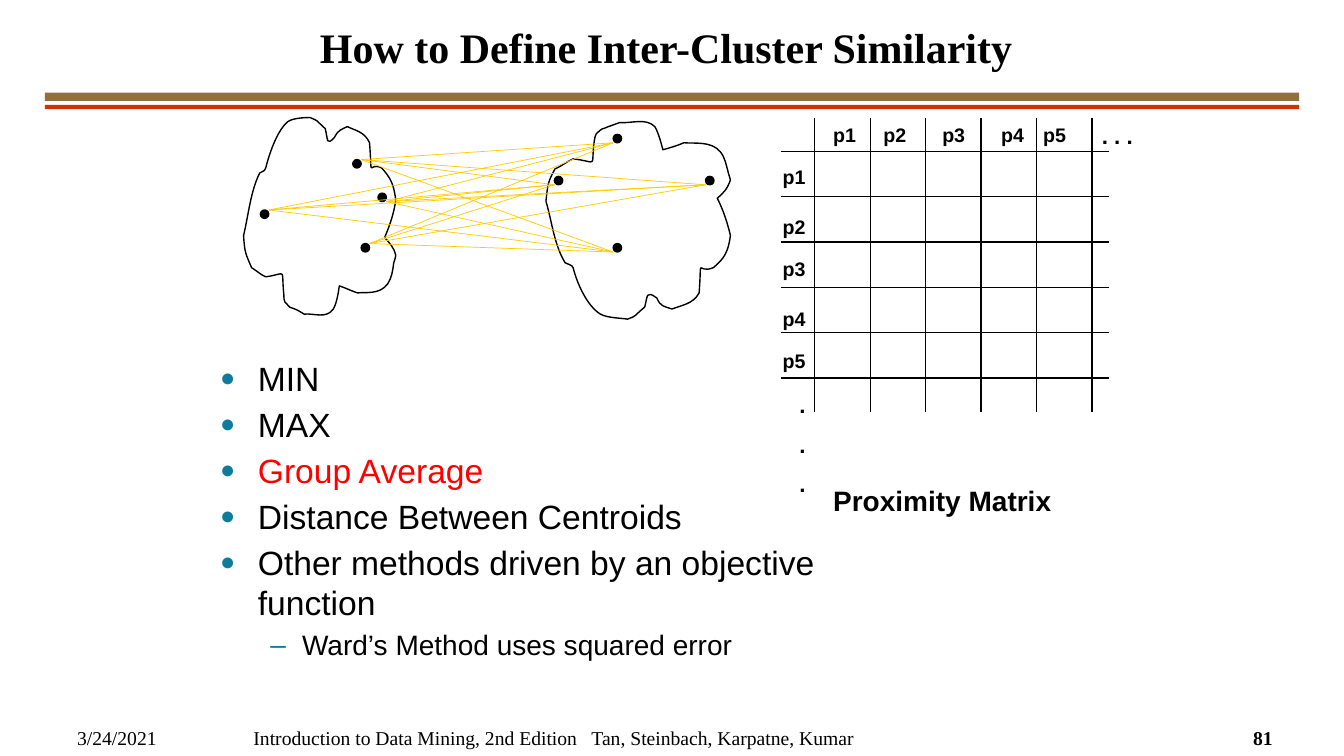
from itertools import product

from lxml.etree import SubElement
from pptx import Presentation
from pptx.dml.color import RGBColor
from pptx.enum.shapes import MSO_CONNECTOR, MSO_SHAPE
from pptx.enum.text import MSO_ANCHOR, MSO_AUTO_SIZE, PP_ALIGN
from pptx.oxml.ns import qn
from pptx.util import Pt

SERIF = "Times New Roman"
SANS = "Arial"
BLACK = "000000"

LEFT_OUTLINE = [
    (16, 55), (7, 73), (5, 96), (0, 117), (1, 134), (2, 135), (8, 149),
    (13, 152), (17, 156), (22, 158), (44, 155), (37, 148), (40, 176),
    (40, 179), (40, 181), (41, 183), (48, 190), (43, 187), (51, 190),
    (54, 191), (60, 195), (60, 195), (70, 194), (82, 200), (89, 190),
    (93, 184), (95, 167), (95, 167), (101, 169), (107, 172), (113, 174),
    (121, 173), (135, 176), (143, 165), (147, 159), (148, 152), (149, 144),
    (150, 142), (151, 137), (151, 137), (149, 128), (145, 125), (140, 119),
    (145, 107), (149, 96), (151, 82), (149, 66), (146, 60), (137, 50),
    (123, 43), (128, 65), (125, 25), (120, 14), (111, 13), (103, 9),
    (97, 12), (94, 12), (90, 20), (82, 28), (84, 23), (81, 11),
    (70, 1), (75, 4), (66, 0), (63, 0), (50, 0), (44, 4),
    (34, 12), (26, 34), (22, 50), (21, 54), (18, 53), (16, 55),
]
RIGHT_OUTLINE = [
    (19, 144), (8, 126), (6, 103), (0, 83), (2, 65), (2, 64), (9, 51),
    (16, 48), (20, 44), (27, 41), (53, 44), (44, 51), (48, 23),
    (48, 21), (49, 18), (50, 16), (58, 9), (53, 13), (62, 9),
    (65, 8), (73, 5), (73, 5), (85, 6), (99, 0), (108, 9),
    (112, 15), (116, 32), (116, 32), (123, 30), (130, 28), (137, 25),
    (147, 26), (164, 23), (173, 34), (178, 40), (179, 48), (181, 55),
    (182, 58), (183, 62), (183, 62), (180, 71), (176, 75), (170, 80),
    (176, 92), (180, 104), (183, 117), (181, 133), (177, 140), (166, 149),
    (149, 156), (155, 134), (152, 174), (146, 185), (135, 186), (125, 190),
    (117, 187), (114, 188), (110, 179), (99, 171), (101, 177), (98, 188),
    (85, 199), (91, 196), (81, 200), (76, 199), (61, 199), (54, 195),
    (41, 187), (31, 165), (27, 149), (26, 146), (22, 146), (19, 144),
]


def color(hex_value):
    return RGBColor.from_string(hex_value)


def style(paragraph, size, face, bold=False, hex_value=BLACK):
    font = paragraph.font
    font.size, font.name, font.bold = Pt(size), face, bold
    font.color.rgb = color(hex_value)


def place(part, left, top, width, height):
    part.left, part.top = Pt(left), Pt(top)
    part.width, part.height = Pt(width), Pt(height)


def add_label(slide, text, left, top, width, height, size, face=SANS, bold=True, wrap=True):
    label = slide.shapes.add_textbox(Pt(left), Pt(top), Pt(width), Pt(height))
    label.text_frame.word_wrap = wrap
    label.text_frame.text = text
    for index, paragraph in enumerate(label.text_frame.paragraphs):
        style(paragraph, size, face, bold)
        if index:
            paragraph.space_before = Pt(9)


def add_line(slide, start, end, hex_value, weight):
    line = slide.shapes.add_connector(MSO_CONNECTOR.STRAIGHT, *map(Pt, start + end))
    line.line.color.rgb = color(hex_value)
    line.line.width = Pt(weight)
    SubElement(line.element.spPr, qn("a:effectLst"))


def add_solid(slide, preset, left, top, width, height, hex_value):
    solid = slide.shapes.add_shape(preset, Pt(left), Pt(top), Pt(width), Pt(height))
    solid.shadow.inherit = False
    solid.fill.solid()
    solid.fill.fore_color.rgb = color(hex_value)
    solid.line.fill.background()
    return solid


def add_header(slide, left, top, width):
    title = slide.shapes.title
    place(title, left + 118, top, 652, 43)
    frame = title.text_frame
    frame.text = "How to Define Inter-Cluster Similarity"
    frame.auto_size = MSO_AUTO_SIZE.NONE
    frame.vertical_anchor = MSO_ANCHOR.BOTTOM
    heading = frame.paragraphs[0]
    heading.alignment = PP_ALIGN.CENTER
    heading.line_spacing = Pt(36)
    style(heading, 30, SERIF, True)
    add_solid(slide, MSO_SHAPE.RECTANGLE, left, top + 54.2, width, 5.8, "916F40")
    add_solid(slide, MSO_SHAPE.RECTANGLE, left, top + 63, width, 3, "CC3300")


def add_footer(slide, left, top):
    citation = "Introduction to Data Mining, 2nd Edition   Tan, Steinbach, Karpatne, Kumar"
    add_label(slide, "3/24/2021", left, top, 128, 24, 14, SERIF, False)
    add_label(slide, citation, left + 126, top, 512, 24, 14, SERIF, False)
    add_label(slide, "81", left + 840, top, 32, 24, 14, SERIF, True, False)


def add_matrix(slide, left, top):
    for index in range(6):
        x, y = left + 24 + 39.6 * index, top + 24 + 32.4 * index
        add_line(slide, (x, top), (x, top + 210), BLACK, 1)
        add_line(slide, (left, y), (left + 234, y), BLACK, 1)
    column_offsets = [30, 66, 108, 150, 180]
    row_offsets = [30, 66, 96, 132, 162]
    for number, (x, y) in enumerate(zip(column_offsets, row_offsets), 1):
        add_label(slide, f"p{number}", left + x, top, 42, 24, 14)
        add_label(slide, f"p{number}", left - 6, top + y, 42, 24, 14)
    add_label(slide, ". . .", left + 222, top, 42, 26.6, 16)
    add_label(slide, ".\n.\n.", left + 6, top + 192, 42, 84, 16)
    add_label(slide, "Proximity Matrix", left + 30, top + 258, 198, 31, 20)


def add_outline(slide, points, left, top):
    builder = slide.shapes.build_freeform(*points[0], scale=Pt(0.72))
    builder.add_line_segments(points[1:], close=True)
    outline = builder.convert_to_shape(Pt(left), Pt(top))
    outline.shadow.inherit = False
    outline.fill.background()
    outline.line.color.rgb = color(BLACK)
    outline.line.width = Pt(1)
    segments = list(outline.element.iter(qn("a:lnTo")))
    for first in range(0, len(segments), 3):
        curve = segments[first].makeelement(qn("a:cubicBezTo"))
        segments[first].addprevious(curve)
        for segment in segments[first:first + 3]:
            curve.append(segment[0])
            segment.getparent().remove(segment)


def add_clusters(slide, left, top):
    add_outline(slide, LEFT_OUTLINE, left, top)
    add_outline(slide, RIGHT_OUTLINE, left + 216, top)
    left_dots = [(84, 90, 0), (96, 54, 6), (12, 66, 0), (78, 30, 0)]
    right_dots = [(264, 90), (222, 42), (264, 12), (330, 42)]
    for x, y, *_ in left_dots + right_dots:
        dot = add_solid(slide, MSO_SHAPE.OVAL, left + x, top + y, 6, 6, BLACK)
        dot.line.color.rgb = color(BLACK)
        dot.line.width = Pt(1)
    for (x, y, drop), (far_x, far_y) in product(left_dots, right_dots):
        start = (left + x + 6, top + y + drop)
        add_line(slide, start, (left + far_x, top + far_y + 6), "FFCC00", 0.5)


def add_bullet(paragraph, symbol, margin, hanging, percent):
    properties = paragraph._p.get_or_add_pPr()
    properties.set("marL", str(Pt(margin)))
    properties.set("indent", str(-Pt(hanging)))
    tint = SubElement(properties, qn("a:buClr"))
    SubElement(tint, qn("a:srgbClr"), val="0C7B9C")
    SubElement(properties, qn("a:buSzPct"), val=str(percent * 1000))
    SubElement(properties, qn("a:buFont"), typeface=SANS)
    SubElement(properties, qn("a:buChar"), char=symbol)


def add_methods(slide, left, top, width, height):
    methods = slide.placeholders[1]
    place(methods, left, top, width, height)
    frame = methods.text_frame
    frame.text = "\n".join([
        "MIN", "MAX", "Group Average", "Distance Between Centroids",
        "Other methods driven by an objective function",
        "Ward’s Method uses squared error",
    ])
    frame.auto_size = MSO_AUTO_SIZE.NONE
    *main_methods, detail = frame.paragraphs
    for method in main_methods:
        add_bullet(method, "●", 27, 27, 75)
        style(method, 24, SANS, hex_value="FF0000" if method.text == "Group Average" else BLACK)
    detail.level = 1
    add_bullet(detail, "–", 58.5, 22.5, 100)
    style(detail, 20, SANS)
    for index, paragraph in enumerate(frame.paragraphs):
        paragraph.space_before = Pt(2 if index else 0)
        paragraph.space_after = Pt(2)


def main():
    deck = Presentation()
    deck.slide_width, deck.slide_height = Pt(960), Pt(540)
    slide = deck.slides.add_slide(deck.slide_layouts[1])
    add_header(slide, 32, 12, 896)
    add_footer(slide, 48, 515)
    add_matrix(slide, 558, 84)
    add_clusters(slide, 174, 84)
    add_methods(slide, 150, 252, 456, 246)
    deck.save("out.pptx")


if __name__ == "__main__":
    main()
